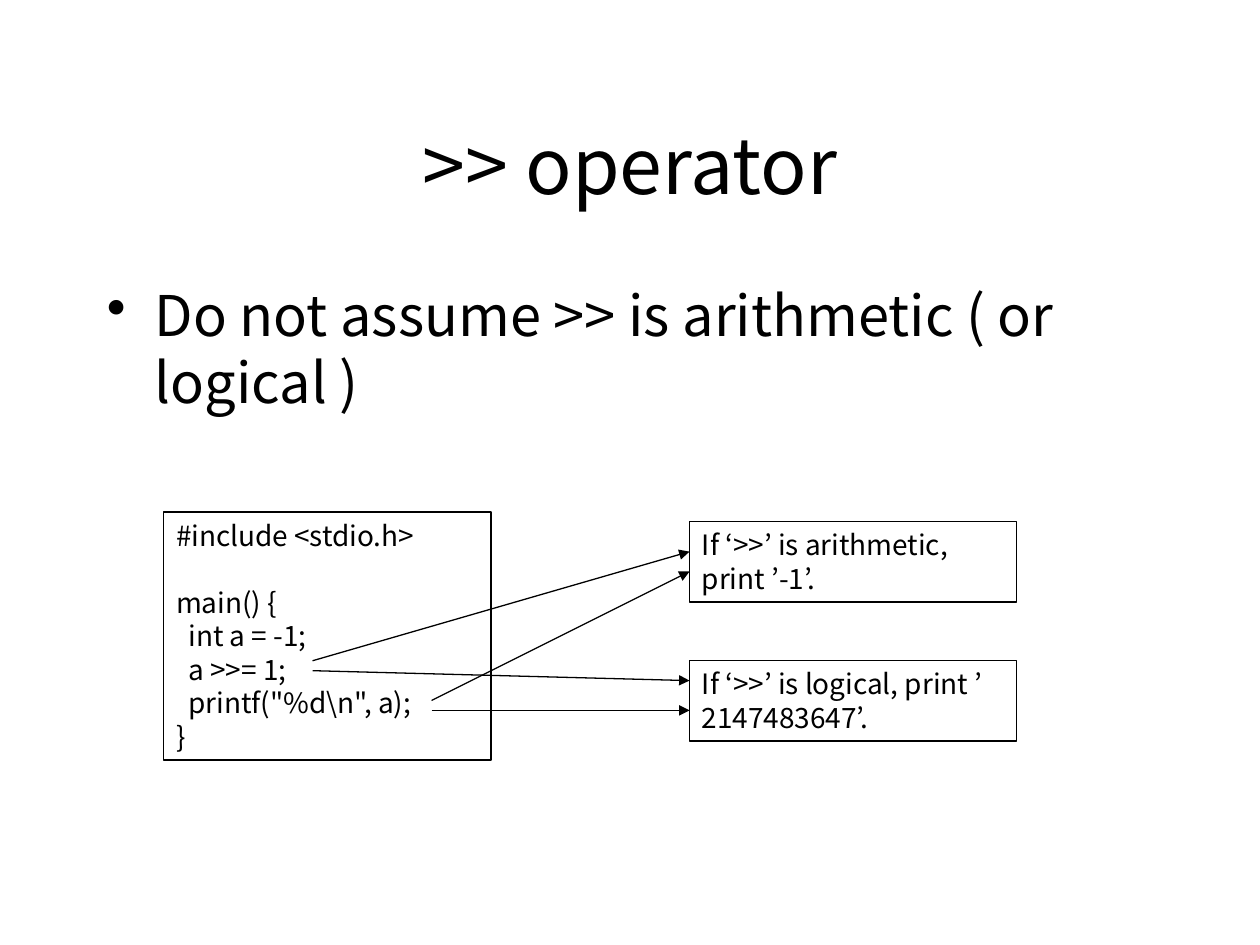
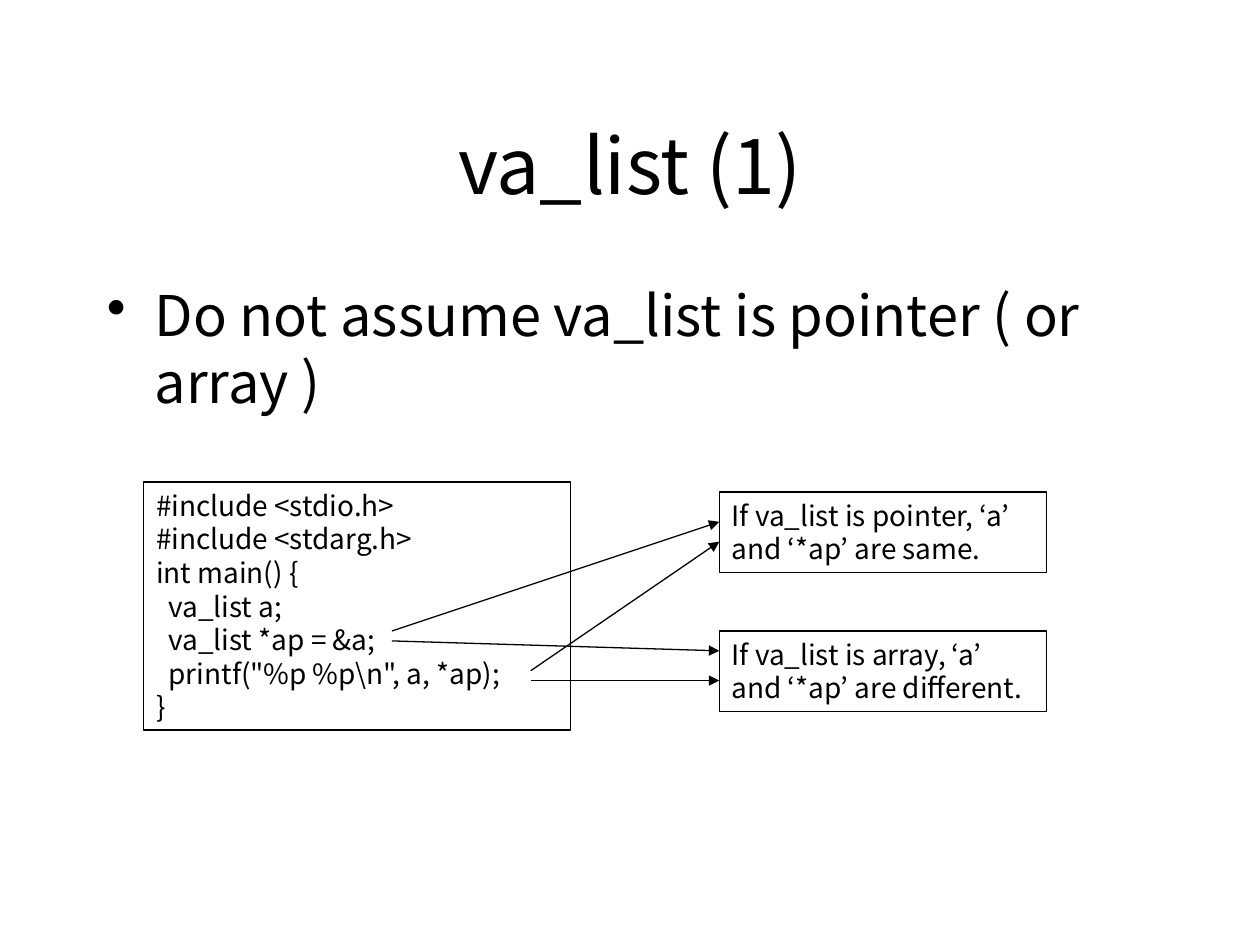
from lxml import etree
from pptx import Presentation
from pptx.dml.color import RGBColor
from pptx.enum.shapes import MSO_CONNECTOR, MSO_SHAPE
from pptx.enum.text import MSO_ANCHOR, PP_ALIGN
from pptx.oxml.ns import qn
from pptx.util import Inches, Mm, Pt

LINE, RECT = MSO_CONNECTOR.STRAIGHT, MSO_SHAPE.RECTANGLE
LEFT, MID = PP_ALIGN.LEFT, PP_ALIGN.CENTER
TOP, CENTER = MSO_ANCHOR.TOP, MSO_ANCHOR.MIDDLE

SLIDES = [
    dict(
        title=">> operator",
        point="Do not assume >> is arithmetic ( or logical )",
        code=["#include <stdio.h>", "", "main() {", "  int a = -1;",
              "  a >>= 1;", "  printf(\"%d\\n\", a);", "}"],
        notes=["If ‘>>’ is arithmetic, print ’-1’.",
               "If ‘>>’ is logical, print ’ 2147483647’."],
        top=51.6, left=16.5, width=33, right=69.5, ends=(31.5, 43.5),
    ),
    dict(
        title="va_list (1)",
        point="Do not assume va_list is pointer ( or array )",
        code=["#include <stdio.h>", "#include <stdarg.h>", "int main() {",
              "  va_list a;", "  va_list *ap = &a;",
              "  printf(\"%p %p\\n\", a, *ap);", "}"],
        notes=["If va_list is pointer, ‘a’ and ‘*ap’ are same.",
               "If va_list is array, ‘a’ and ‘*ap’ are different."],
        top=48.6, left=14.5, width=43, right=72.5, ends=(39.5, 53.5),
    ),
]

COLORS = dict(ink="000000", page="FFFFFF")
FONT = "Noto Sans CJK KR"
CELL = Mm(2)
CODE_ROWS, NOTE_ROWS, NOTE_COLS = 25, 8.1, 33
NOTE_TOPS = (1, 15)
ARROWS = [(0, 15, 4), (0, 16, 17), (1, 19, 6), (1, 20, 20)]
WIDE, HIGH = Inches(10), Inches(7.5)
SIDE, SPAN = WIDE * 0.075, WIDE * 0.85
HANG = Inches(0.38)


def color(name):
    return RGBColor.from_string(COLORS[name])


def place(shape, left, top, width, height):
    shape.left, shape.top = int(left), int(top)
    shape.width, shape.height = int(width), int(height)


def write(shape, lines, size=16, align=LEFT, anchor=TOP, bullet=False):
    frame = shape.text_frame
    frame.word_wrap = True
    frame.vertical_anchor = anchor
    for i, line in enumerate(lines):
        para = frame.add_paragraph() if i else frame.paragraphs[0]
        if bullet:
            props = para._p.get_or_add_pPr()
            props.set("marL", str(HANG))
            props.set("indent", str(-HANG))
            etree.SubElement(props, qn("a:buChar"), char="•")
        para.alignment = align
        para.line_spacing = Pt(size * 1.2)
        para.font.size = Pt(size)
        if line:
            run = para.add_run()
            run.text = line
            run.font.name = FONT
            run.font.size = Pt(size)
            run.font.color.rgb = color("ink")


def box(slide, lines, *cells):
    shape = slide.shapes.add_shape(RECT, 0, 0, 0, 0)
    place(shape, *(n * CELL for n in cells))
    shape.shadow.inherit = False
    shape.fill.background()
    shape.line.color.rgb = color("ink")
    shape.line.width = Pt(0.75)
    write(shape, lines)


def arrow(slide, *cells):
    link = slide.shapes.add_connector(LINE, *(int(n * CELL) for n in cells))
    link.line.color.rgb = color("ink")
    link.line.width = Pt(0.75)
    etree.SubElement(link.line._get_or_add_ln(), qn("a:tailEnd"), type="triangle")
    etree.SubElement(link._element.spPr, qn("a:effectLst"))


def build(deck, data):
    slide = deck.slides.add_slide(deck.slide_layouts[5])
    fill = slide.background.fill
    fill.solid()
    fill.fore_color.rgb = color("page")
    title = slide.shapes.title
    place(title, SIDE, HIGH * 0.09, SPAN, HIGH / 6)
    write(title, [data["title"]], size=44, align=MID, anchor=CENTER)
    body = slide.shapes.add_textbox(0, 0, 0, 0)
    place(body, SIDE, HIGH * 0.29, SPAN, HIGH * 0.6)
    write(body, [data["point"]], size=32, bullet=True)

    top, right = data["top"], data["right"]
    box(slide, data["code"], data["left"], top, data["width"], CODE_ROWS)
    for note, row in zip(data["notes"], NOTE_TOPS):
        box(slide, [note], right, top + row, NOTE_COLS, NOTE_ROWS)
    for end, start, stop in ARROWS:
        arrow(slide, data["ends"][end], top + start, right, top + stop)


def main():
    deck = Presentation()
    deck.slide_width, deck.slide_height = WIDE, HIGH
    for data in SLIDES:
        build(deck, data)
    deck.save("out.pptx")


if __name__ == "__main__":
    main()
